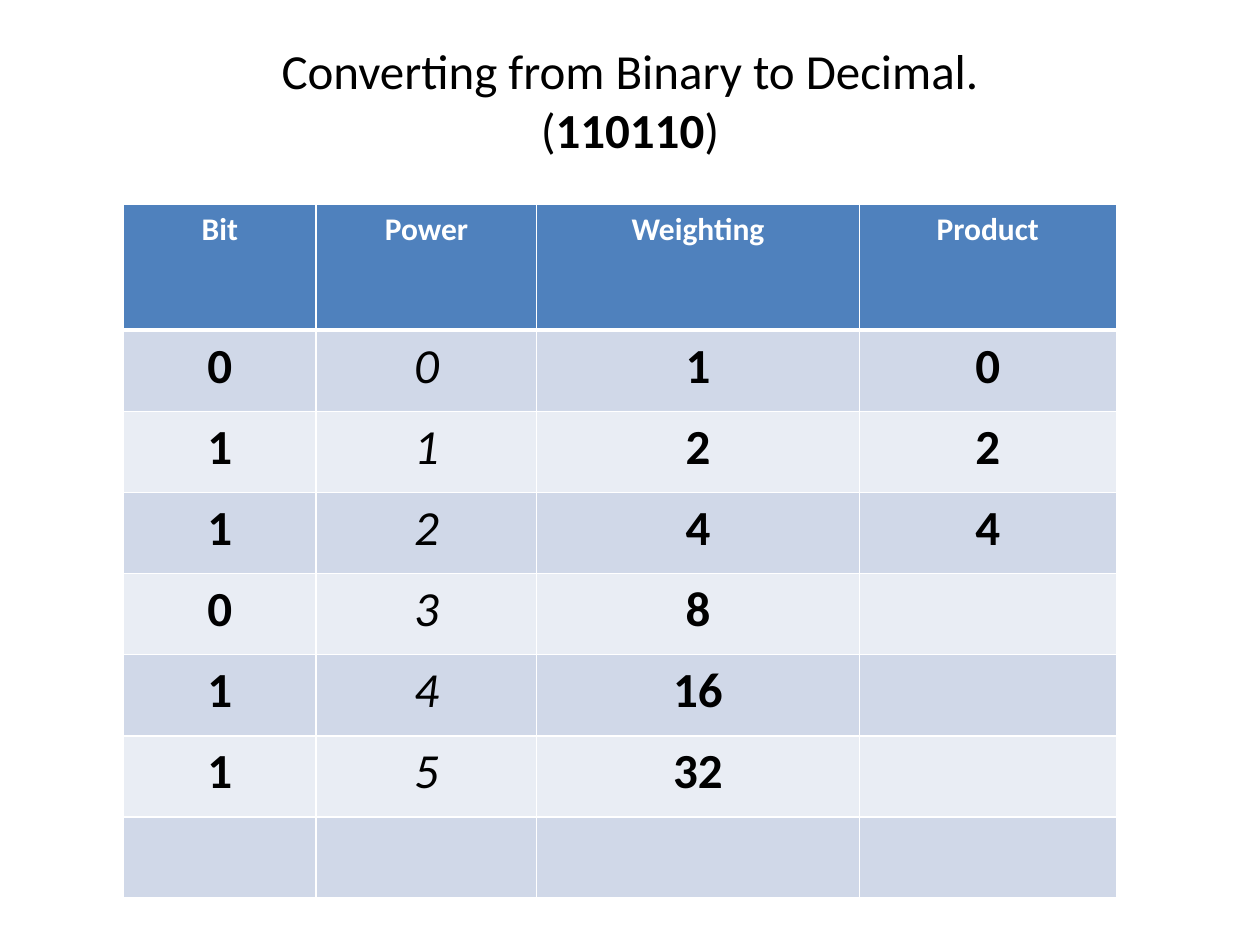
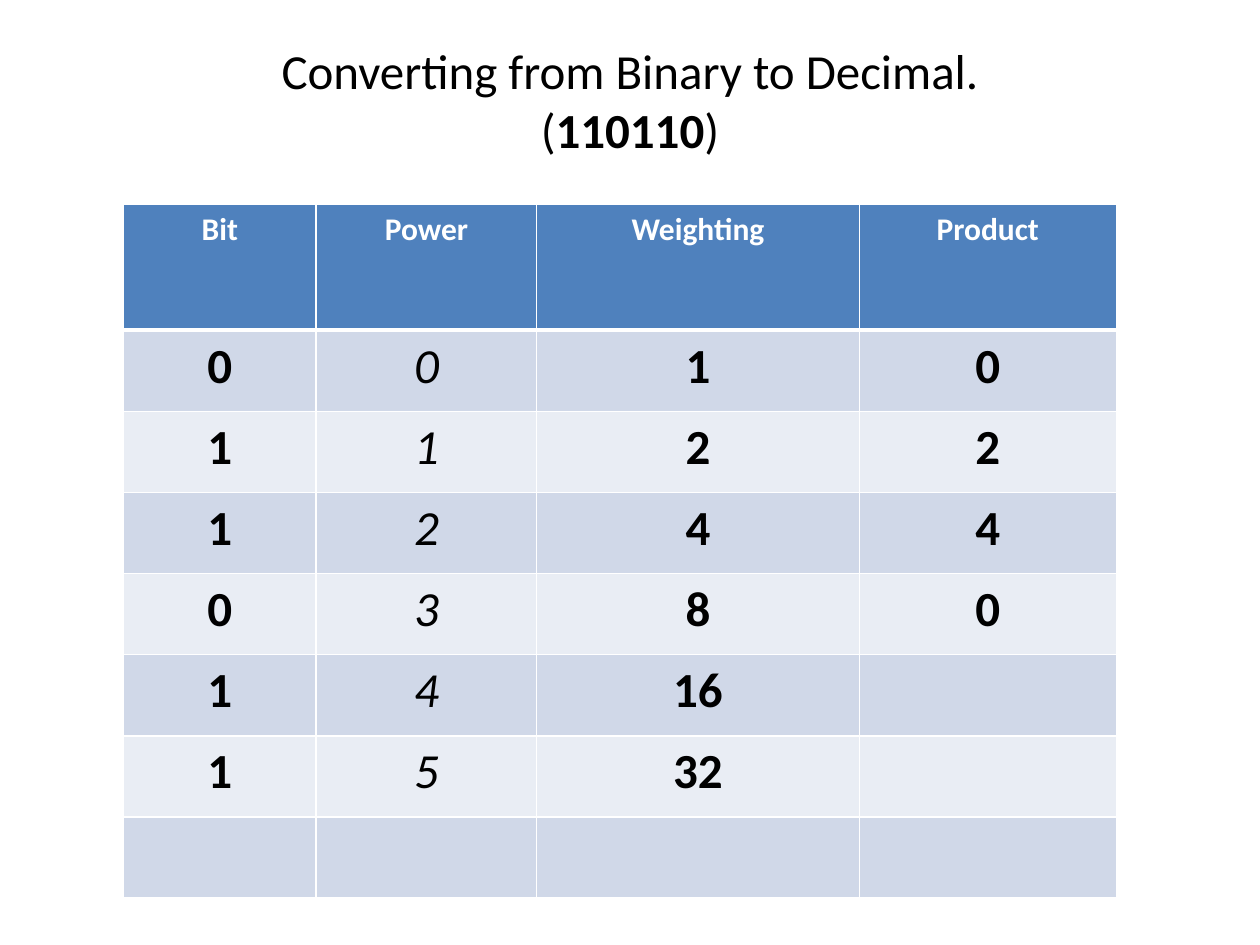
from dataclasses import dataclass

from lxml import etree
from pptx import Presentation
from pptx import util as u
from pptx.dml.color import RGBColor
from pptx.enum import text
from pptx.oxml import ns


@dataclass(frozen=True)
class Theme:
    font: str = "Calibri"
    ink: str = "000000"
    white: str = "FFFFFF"
    header: str = "4F81BD"
    bands: tuple = ("D0D8E8", "E9EDF4")
    large: int = 28
    small: int = 18
    rule: int = 1
    header_rule: int = 3


THEME = Theme()
WIDTH, HEIGHT = u.Inches(10), u.Inches(7.5)

BINARY = "110110"
HEADINGS = ("Bit", "Power", "Weighting", "Product")
COLUMN_WIDTHS = (1.53, 1.75, 2.56, 2.04)
TABLE_LEFT, TABLE_TOP, TABLE_HEIGHT = 0.98, 1.62, 5.51
HEADER_HEIGHT = 1.0
PRODUCTS_SHOWN = (3, 4)


def add_span(para, words, size=THEME.large, color=THEME.ink, bold=False, italic=False):
    para.alignment = text.PP_ALIGN.CENTER
    span = para.add_run()
    span.text = words
    font = span.font
    font.name, font.size = THEME.font, u.Pt(size)
    font.bold, font.italic = bold, italic
    font.color.rgb = RGBColor.from_string(color)


def add_title(page):
    box = page.shapes.title
    box.left, box.top = int(WIDTH * 0.05), int(HEIGHT * 0.04)
    box.width, box.height = int(WIDTH * 0.9), u.Inches(0.46)
    frame = box.text_frame
    frame.auto_size = text.MSO_AUTO_SIZE.NONE
    frame.vertical_anchor = text.MSO_ANCHOR.TOP
    frame.margin_top = u.Inches(0.02)
    para = frame.paragraphs[0]
    add_span(para, "Converting from Binary to Decimal.")
    para.add_line_break()
    add_span(para, "(")
    add_span(para, BINARY, bold=True)
    add_span(para, ")")


def add_border(cell, side, points):
    properties = cell._tc.get_or_add_tcPr()
    line = etree.SubElement(properties, ns.qn(f"a:ln{side}"), w=str(u.Pt(points)))
    fill = etree.SubElement(line, ns.qn("a:solidFill"))
    etree.SubElement(fill, ns.qn("a:srgbClr"), val=THEME.white)


def style_cell(cell, row):
    """Draw the borders first: the schema wants them before the fill."""
    thick_side = {0: "B", 1: "T"}.get(row)
    for side in "LRTB":
        add_border(cell, side, THEME.header_rule if side == thick_side else THEME.rule)
    cell.fill.solid()
    color = THEME.bands[(row - 1) % 2] if row else THEME.header
    cell.fill.fore_color.rgb = RGBColor.from_string(color)


def conversion_rows(products_shown):
    """List bit, power, weighting and product from the lowest bit, then a spare row."""
    rows = []
    for power, bit in enumerate(reversed(BINARY)):
        weighting = 2 ** power
        product = int(bit) * weighting if power < products_shown else ""
        rows.append((bit, power, weighting, product))
    return rows + [("",) * len(HEADINGS)]


def add_conversion_table(page, products_shown):
    rows = [HEADINGS] + conversion_rows(products_shown)
    table = page.shapes.add_table(
        len(rows), len(HEADINGS), u.Inches(TABLE_LEFT), u.Inches(TABLE_TOP),
        u.Inches(sum(COLUMN_WIDTHS)), u.Inches(TABLE_HEIGHT)).table
    for column, width in zip(table.columns, COLUMN_WIDTHS):
        column.width = u.Inches(width)
    body_height = (TABLE_HEIGHT - HEADER_HEIGHT) / (len(rows) - 1)
    for r, values in enumerate(rows):
        table.rows[r].height = u.Inches(body_height if r else HEADER_HEIGHT)
        for c, value in enumerate(values):
            cell = table.cell(r, c)
            style_cell(cell, r)
            if value == "":
                continue
            para = cell.text_frame.paragraphs[0]
            if r == 0:
                add_span(para, value, size=THEME.small, color=THEME.white, bold=True)
            else:
                is_power = HEADINGS[c] == "Power"
                add_span(para, str(value), bold=not is_power, italic=is_power)


def main():
    deck = Presentation()
    deck.slide_width, deck.slide_height = WIDTH, HEIGHT
    title_only = deck.slide_layouts.get_by_name("Title Only")
    for products_shown in PRODUCTS_SHOWN:
        page = deck.slides.add_slide(title_only)
        add_title(page)
        add_conversion_table(page, products_shown)
    deck.save("out.pptx")


if __name__ == "__main__":
    main()
